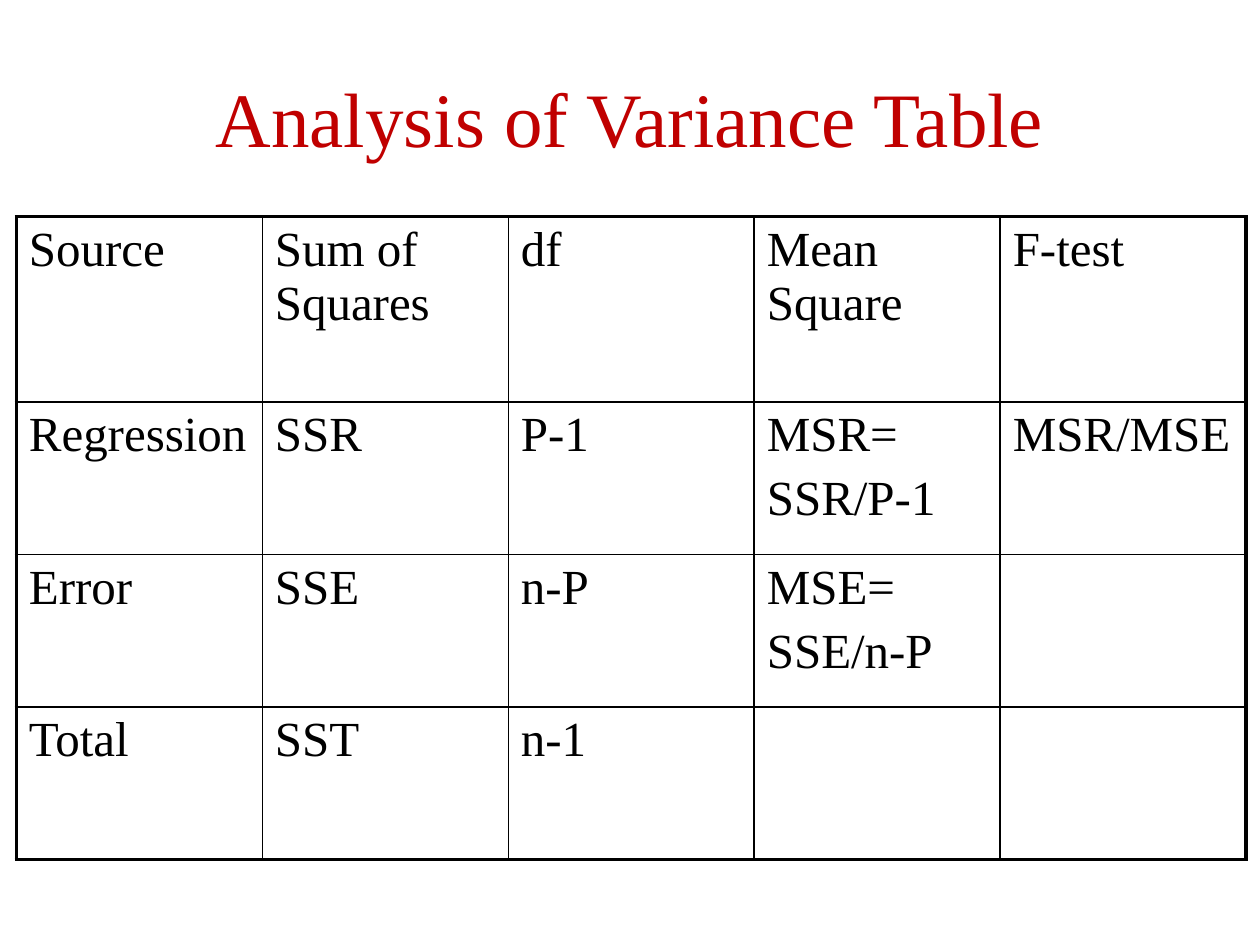
from dataclasses import dataclass

from lxml import etree
from pptx import Presentation, util as u
from pptx.dml.color import RGBColor
from pptx.enum import text
from pptx.oxml import ns

FONT = "Times New Roman"
BLACK, RED = "000000", "C00000"
THIN, THICK = 1, 2.25
WIDTH, HEIGHT = u.Inches(10), u.Inches(7.5)
ROWS = [
    ["Source", "Sum of Squares", "df", "Mean Square", "F-test"],
    ["Regression", "SSR", "P-1", "MSR=\nSSR/P-1", "MSR/MSE"],
    ["Error", "SSE", "n-P", "MSE=\nSSE/n-P", ""],
    ["Total", "SST", "n-1", "", ""],
]
ROW_HEIGHTS = [1.47, 1.21, 1.21, 1.21]


@dataclass
class Box:
    """A frame given in shares of the slide's size."""
    left: float
    top: float
    width: float
    height: float

    def emu(self) -> list[int]:
        """Return left, top, width and height in EMU."""
        return [int(self.left * WIDTH), int(self.top * HEIGHT),
                int(self.width * WIDTH), int(self.height * HEIGHT)]


def color(value: str) -> RGBColor:
    """Turn a hex string into a colour."""
    return RGBColor.from_string(value)


def write(tf, content: str, *, size: float, fill: str = BLACK,
          align=text.PP_ALIGN.LEFT, gap: float = 0) -> None:
    """Fill a text frame, one paragraph a line, with a gap between them."""
    for i, line in enumerate(content.split("\n")):
        p = tf.add_paragraph() if i else tf.paragraphs[0]
        p.alignment = align
        p.space_before = u.Pt(gap if i else 0)
        r = p.add_run()
        r.text = line
        r.font.name, r.font.size = FONT, u.Pt(size)
        r.font.color.rgb = color(fill)


def border(cell, side: str, width: float) -> None:
    """Draw one side (L, R, T or B) of a table cell."""
    ln = etree.SubElement(cell._tc.get_or_add_tcPr(), ns.qn(f"a:ln{side}"),
                          w=str(u.Pt(width)))
    fill = etree.SubElement(ln, ns.qn("a:solidFill"))
    etree.SubElement(fill, ns.qn("a:srgbClr"), val=BLACK)


def add_title(s, content: str, box: Box) -> None:
    """Place and format the slide title."""
    sp = s.shapes.title
    sp.left, sp.top, sp.width, sp.height = box.emu()
    tf = sp.text_frame
    tf.word_wrap = True
    tf.vertical_anchor = text.MSO_ANCHOR.MIDDLE
    write(tf, content, size=44, fill=RED, align=text.PP_ALIGN.CENTER)


def add_grid(s, rows: list[list[str]], box: Box) -> None:
    """Add a plain table with thin inner lines and a thick outer frame."""
    last_row, last_col = len(rows) - 1, len(rows[0]) - 1
    table = s.shapes.add_table(len(rows), len(rows[0]), *box.emu()).table
    table.first_row = table.horz_banding = False
    for row, height in zip(table.rows, ROW_HEIGHTS):
        row.height = u.Inches(height)
    for i, row in enumerate(rows):
        for j, content in enumerate(row):
            cell = table.cell(i, j)
            outer = {"L": j == 0, "R": j == last_col,
                     "T": i == 0, "B": i == last_row}
            for side, edge in outer.items():
                border(cell, side, THICK if edge else THIN)
            cell.fill.background()
            if content:
                write(cell.text_frame, content, size=28, gap=5.6)


def main() -> None:
    """Build the slide and save it."""
    prs = Presentation()
    prs.slide_width, prs.slide_height = WIDTH, HEIGHT
    s = prs.slides.add_slide(prs.slide_layouts[5])
    add_title(s, "Analysis of Variance Table", Box(0.05, 0.04, 0.9, 1.25 / 7.5))
    add_grid(s, ROWS, Box(0.013, 1.72 / 7.5, 0.976, sum(ROW_HEIGHTS) / 7.5))
    prs.save("out.pptx")


if __name__ == "__main__":
    main()
